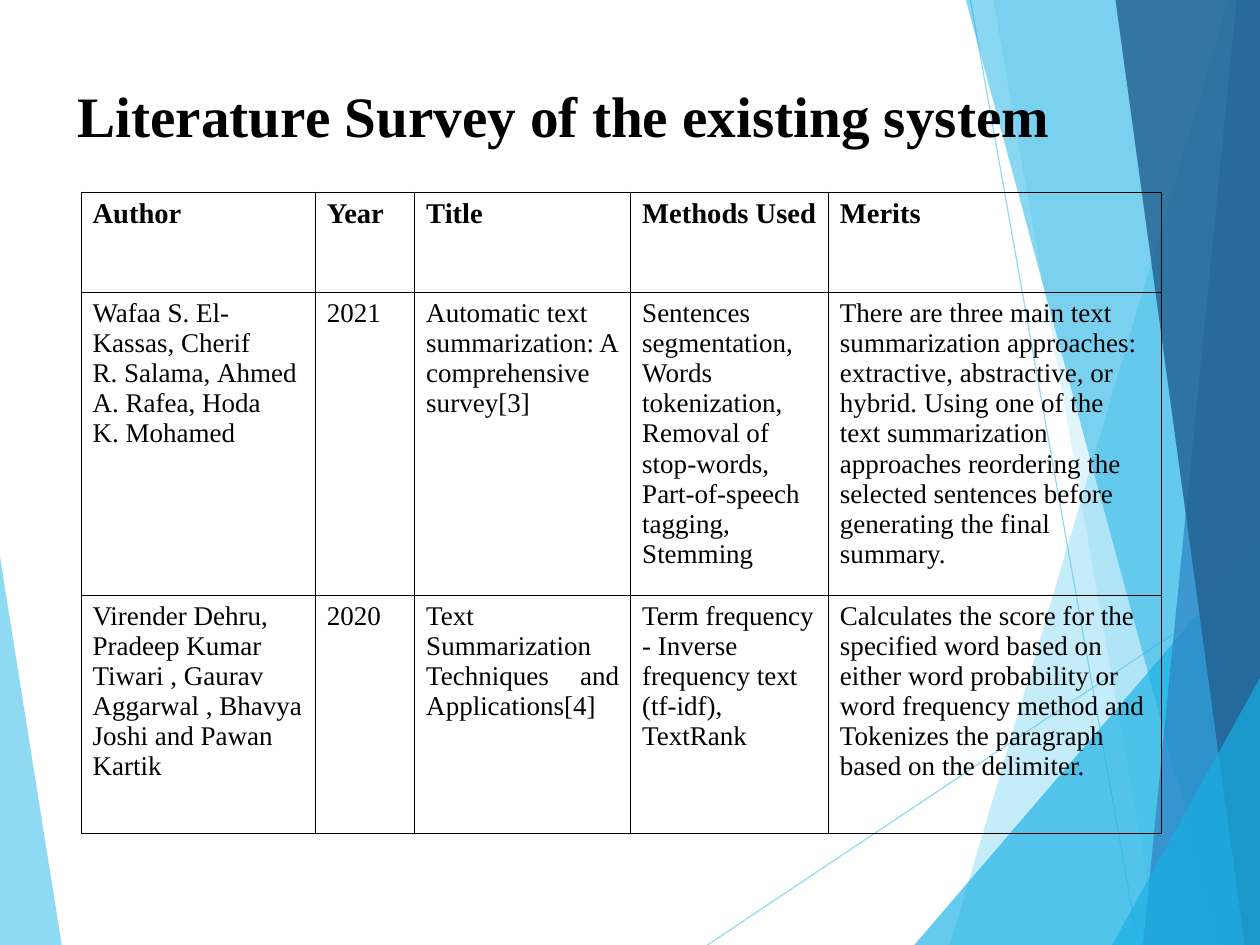
import pptx
import pptx.util
import pptx.dml.color
import pptx.enum.shapes
import pptx.enum.text
import pptx.oxml
import pptx.oxml.ns
from dataclasses import dataclass
from lxml import etree
from pptx.util import Inches


@dataclass(frozen=True)
class Theme:
    font: str = "Times New Roman"
    text: str = "000000"
    sky: str = "5FCBEF"
    cyan: str = "17B0E4"
    blue: str = "2E83C3"
    navy: str = "236292"
    title_size: float = 36
    head_size: float = 18
    body_size: float = 17
    border: float = 0.45
    ray: float = 0.75


T = Theme()
# 28 by 21 centimetres
W, H = 28 / 2.54, 21 / 2.54
NBSP = chr(160)

# Facets from back to front: colour, opacity in percent, corner points
LEFT_FACET = (T.sky, 70, [(0, 4.87), (0.54, H), (0, H)])
RIGHT_FACETS = [
    (T.sky, 36, [(10.75, 0), (8.31, H), (W, H), (W, 0)]),
    (T.sky, 20, [(8.69, 0), (10.14, H), (W, H), (W, 0)]),
    (T.cyan, 66, [(8, H), (W, 4.74), (W, H)]),
    (T.cyan, 50, [(8.45, 0), (10.69, H), (W, H), (W, 0)]),
    (T.blue, 70, [(10.82, 0), (10, H), (W, H), (W, 0)]),
    (T.navy, 82, [(9.76, 0), (10.89, H), (W, H), (W, 0)]),
    (T.cyan, 66, [(9.73, H), (W, 5.93), (W, H)]),
]
RAYS = [((6.19, H), (W, 5.04)), ((8.49, 0), (9.96, H))]

COLUMNS = [2.05, 0.87, 1.89, 1.73, 2.91]
ROWS = [0.88, 2.65, 2.08]
SURVEY = [
    ["Author", "Year", "Title", "Methods Used", "Merits"],
    # A tilde marks a non-breaking space
    ["Wafaa S.~El-Kassas,~Cherif R.~Salama,~Ahmed A.~Rafea,~Hoda "
     "K.~Mohamed~".replace("~", NBSP),
     "2021",
     "Automatic text summarization: A comprehensive survey[3]",
     "Sentences segmentation, Words tokenization, Removal of stop-words, "
     "Part-of-speech tagging, Stemming",
     "There are three main text summarization approaches: extractive, "
     "abstractive, or hybrid. Using one of the text summarization approaches "
     "reordering the selected sentences before generating the final summary."],
    ["Virender Dehru, Pradeep Kumar Tiwari , Gaurav Aggarwal , Bhavya Joshi "
     "and Pawan Kartik",
     "2020",
     "Text Summarization Techniques and Applications[4]",
     "Term frequency - Inverse frequency text (tf-idf), TextRank",
     "Calculates the score for the specified word based on either word "
     "probability or word frequency method and Tokenizes the paragraph based "
     "on the delimiter."],
]
JUSTIFIED = (2, 2)


def rgb(color):
    return pptx.dml.color.RGBColor.from_string(color)


def set_opacity(fill, percent):
    clr = fill._xPr.find(".//" + pptx.oxml.ns.qn("a:srgbClr"))
    etree.SubElement(clr, pptx.oxml.ns.qn("a:alpha"), val=str(percent * 1000))


def add_run(p, text, size, bold):
    r = p.add_run()
    r.text = text
    r.font.name = T.font
    r.font.size = pptx.util.Pt(size)
    r.font.bold = bold
    r.font.color.rgb = rgb(T.text)


def add_facet(s, color, opacity, points):
    corners = [(Inches(x), Inches(y)) for x, y in points]
    builder = s.shapes.build_freeform(*corners[0], scale=1.0)
    builder.add_line_segments(corners[1:], close=True)
    sp = builder.convert_to_shape()
    sp.shadow.inherit = False
    sp.fill.solid()
    sp.fill.fore_color.rgb = rgb(color)
    set_opacity(sp.fill, opacity)
    sp.line.fill.background()


def add_ray(s, start, end):
    ray = s.shapes.add_connector(pptx.enum.shapes.MSO_CONNECTOR.STRAIGHT,
                                 *(Inches(v) for v in start + end))
    ray.line.width = pptx.util.Pt(T.ray)
    ray.line.color.rgb = rgb(T.sky)
    set_opacity(ray.line.fill, 70)
    etree.SubElement(ray._element.spPr, pptx.oxml.ns.qn("a:effectLst"))


def add_backdrop(s):
    add_facet(s, *LEFT_FACET)
    for start, end in RAYS:
        add_ray(s, start, end)
    for facet in RIGHT_FACETS:
        add_facet(s, *facet)


def add_title(s, left, top, width, height):
    sp = s.shapes.title
    sp.left, sp.top, sp.width, sp.height = map(Inches, (left, top, width, height))
    tf = sp.text_frame
    tf.word_wrap = True
    tf.auto_size = pptx.enum.text.MSO_AUTO_SIZE.NONE
    tf.vertical_anchor = pptx.enum.text.MSO_ANCHOR.MIDDLE
    tf.margin_left = tf.margin_right = tf.margin_bottom = 0
    tf.margin_top = Inches(0.03)
    p = tf.paragraphs[0]
    p.alignment = pptx.enum.text.PP_ALIGN.LEFT
    p.line_spacing = 0.93
    add_run(p, "Literature Survey of the existing system", T.title_size, True)
    # Keep the title in front of the backdrop
    s.shapes._spTree.append(sp._element)


def set_borders(cell):
    tc_pr = cell._tc.get_or_add_tcPr()
    for side in "LRTB":
        tc_pr.append(pptx.oxml.parse_xml(
            f'<a:ln{side} {pptx.oxml.ns.nsdecls("a")} w="{int(T.border * 12700)}">'
            f'<a:solidFill><a:srgbClr val="{T.text}"/></a:solidFill></a:ln{side}>'))


def add_survey(s, left, top):
    frame = s.shapes.add_table(len(ROWS), len(COLUMNS), Inches(left), Inches(top),
                               Inches(sum(COLUMNS)), Inches(sum(ROWS)))
    table = frame.table
    table.first_row = table.horz_banding = False
    for column, width in zip(table.columns, COLUMNS):
        column.width = Inches(width)
    for i, (row, height) in enumerate(zip(table.rows, ROWS)):
        row.height = Inches(height)
        for j, cell in enumerate(row.cells):
            set_borders(cell)
            cell.fill.background()
            p = cell.text_frame.paragraphs[0]
            if (i, j) == JUSTIFIED:
                p.alignment = pptx.enum.text.PP_ALIGN.JUSTIFY
            size = T.body_size if i else T.head_size
            add_run(p, SURVEY[i][j], size, i == 0)


def main():
    prs = pptx.Presentation()
    prs.slide_width, prs.slide_height = Inches(W), Inches(H)
    s = prs.slides.add_slide(prs.slide_layouts[5])
    add_backdrop(s)
    add_title(s, 0.68, 0.33, 9.79, 1.38)
    add_survey(s, 0.71, 1.68)
    prs.save("out.pptx")


if __name__ == "__main__":
    main()
